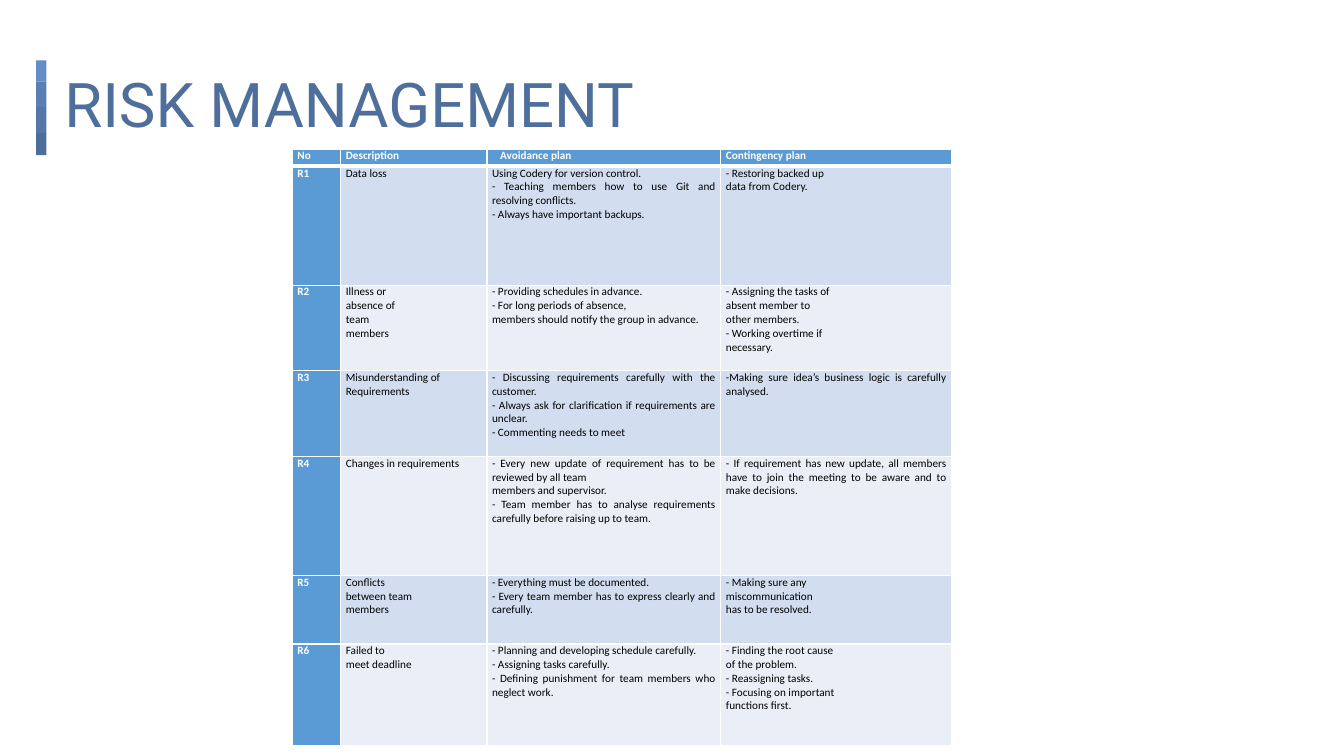
from lxml import etree
from pptx import Presentation
from pptx.dml.color import RGBColor
from pptx.enum import shapes, text
from pptx.oxml import ns
from pptx.util import Inches, Pt

WHITE, BLACK, BLUE = "FFFFFF", "000000", "5B9BD5"
BANDS = ("D2DEEF", "EAEFF7")

BAR_PIECES = [(0.21, "648DC6"), (0.25, "5A7FB3"), (0.26, "5477A7"), (0.22, "4E6E9A")]

COLUMN_WIDTHS = [0.48, 1.45, 2.32, 2.29]
ROW_HEIGHTS = [0.17, 1.18, 0.85, 0.85, 1.18, 0.68, 1.01]
HEADER = ["No", "Description", "Avoidance plan", "Contingency plan"]

# Description, avoidance plan, contingency plan: one line per paragraph
RISKS = [
    ("Data loss",
     "Using Codery for version control.\n"
     "- Teaching members how to use Git and resolving conflicts.\n"
     "- Always have important backups.",
     "- Restoring backed up\ndata from Codery."),
    ("Illness or\nabsence of\nteam\nmembers",
     "- Providing schedules in advance.\n"
     "- For long periods of absence,\n"
     "members should notify the group in advance.",
     "- Assigning the tasks of\nabsent member to\nother members.\n"
     "- Working overtime if\nnecessary."),
    ("Misunderstanding of\nRequirements",
     "- Discussing requirements carefully with the customer.\n"
     "- Always ask for clarification if requirements are unclear.\n"
     "- Commenting needs to meet",
     "-Making sure idea’s business logic is carefully analysed."),
    ("Changes in requirements",
     "- Every new update of requirement has to be reviewed by all team\n"
     "members and supervisor.\n"
     "- Team member has to analyse requirements carefully before raising up to team.",
     "- If requirement has new update, all members have to join the meeting "
     "to be aware and to make decisions."),
    ("Conflicts\nbetween team\nmembers",
     "- Everything must be documented.\n"
     "- Every team member has to express clearly and carefully.",
     "- Making sure any\nmiscommunication\nhas to be resolved."),
    ("Failed to\nmeet deadline",
     "- Planning and developing schedule carefully.\n"
     "- Assigning tasks carefully.\n"
     "- Defining punishment for team members who neglect work.",
     "- Finding the root cause\nof the problem.\n- Reassigning tasks.\n"
     "- Focusing on important\nfunctions first."),
]


def rgb(value):
    return RGBColor.from_string(value)


def add_run(p, words, size, font, color, bold=False):
    r = p.add_run()
    r.text = words
    r.font.size, r.font.name, r.font.bold = Pt(size), font, bold
    r.font.color.rgb = rgb(color)


def add_bar(s, left, top, width):
    for height, color in BAR_PIECES:
        sp = s.shapes.add_shape(shapes.MSO_SHAPE.RECTANGLE, Inches(left),
                                Inches(top), Inches(width), Inches(height))
        sp.shadow.inherit = False
        sp.fill.solid()
        sp.fill.fore_color.rgb = rgb(color)
        sp.line.fill.background()
        top += height


def add_title(s, words):
    tf = s.shapes.add_textbox(Inches(0.54), Inches(0.65),
                              Inches(12.34), Inches(0.84)).text_frame
    tf.word_wrap = True
    tf.vertical_anchor = text.MSO_ANCHOR.MIDDLE
    tf.margin_left = tf.margin_right = tf.margin_top = tf.margin_bottom = Inches(0.1)
    p = tf.paragraphs[0]
    p.line_spacing = 0.9
    add_run(p, words, 44, "Roboto", "4E6F9B")


def set_border(cell, side, width):
    tc_pr = cell._tc.get_or_add_tcPr()
    ln = etree.SubElement(tc_pr, ns.qn(f"a:ln{side}"), w=str(Pt(width)))
    fill = etree.SubElement(ln, ns.qn("a:solidFill"))
    etree.SubElement(fill, ns.qn("a:srgbClr"), val=WHITE)


def fill_cell(cell, words, row, col):
    is_heading = row == 0 or col == 0
    # Thick rule between the header and the first risk
    for side in "LRTB":
        thick = (row, side) in ((0, "B"), (1, "T"))
        set_border(cell, side, 3 if thick else 1)
    cell.fill.solid()
    cell.fill.fore_color.rgb = rgb(BLUE if is_heading else BANDS[(row - 1) % 2])
    cell.margin_left = Inches(0.13 if (row, col) == (0, 2) else 0.05)
    cell.margin_right = Inches(0.05)
    cell.margin_top = cell.margin_bottom = 0
    tf = cell.text_frame
    for i, line in enumerate(words.split("\n")):
        p = tf.add_paragraph() if i else tf.paragraphs[0]
        p.alignment = text.PP_ALIGN.JUSTIFY
        add_run(p, line, 8, "Calibri", WHITE if is_heading else BLACK, is_heading)


def add_risk_table(s, left, top):
    rows = [HEADER] + [(f"R{n}", *risk) for n, risk in enumerate(RISKS, 1)]
    table = s.shapes.add_table(
        len(rows), len(HEADER), Inches(left), Inches(top),
        Inches(sum(COLUMN_WIDTHS)), Inches(sum(ROW_HEIGHTS))).table
    for column, width in zip(table.columns, COLUMN_WIDTHS):
        column.width = Inches(width)
    for i, (row, height) in enumerate(zip(rows, ROW_HEIGHTS)):
        table.rows[i].height = Inches(height)
        for j, words in enumerate(row):
            fill_cell(table.cell(i, j), words, i, j)


def main():
    prs = Presentation()
    prs.slide_width, prs.slide_height = Inches(13.33), Inches(7.5)
    s = prs.slides.add_slide(prs.slide_layouts[6])
    # Accent bar and title
    add_bar(s, 0.36, 0.6, 0.1)
    add_title(s, "RISK MANAGEMENT")
    # Risks with their plans
    add_risk_table(s, 2.9, 1.48)
    prs.save("out.pptx")


if __name__ == "__main__":
    main()
